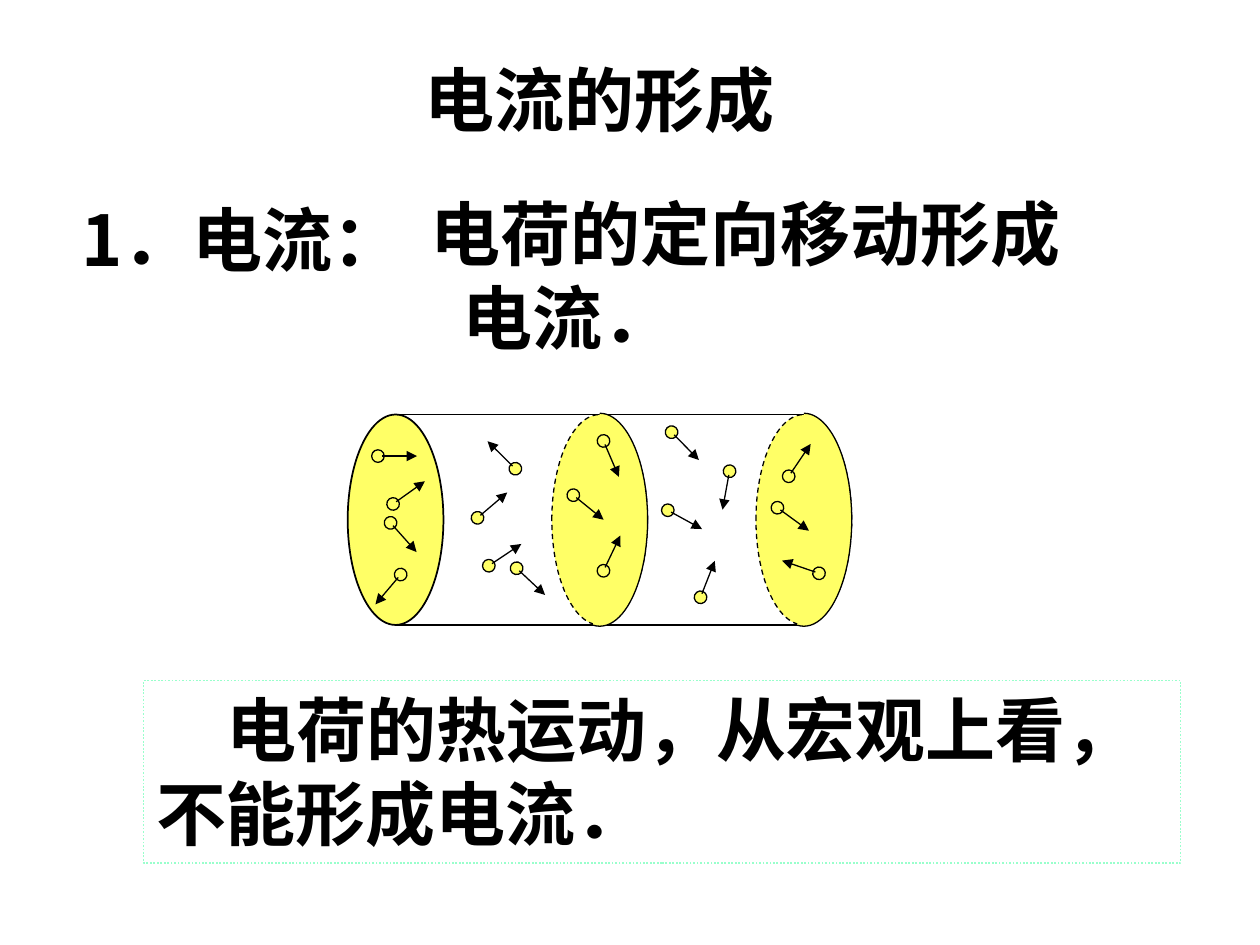
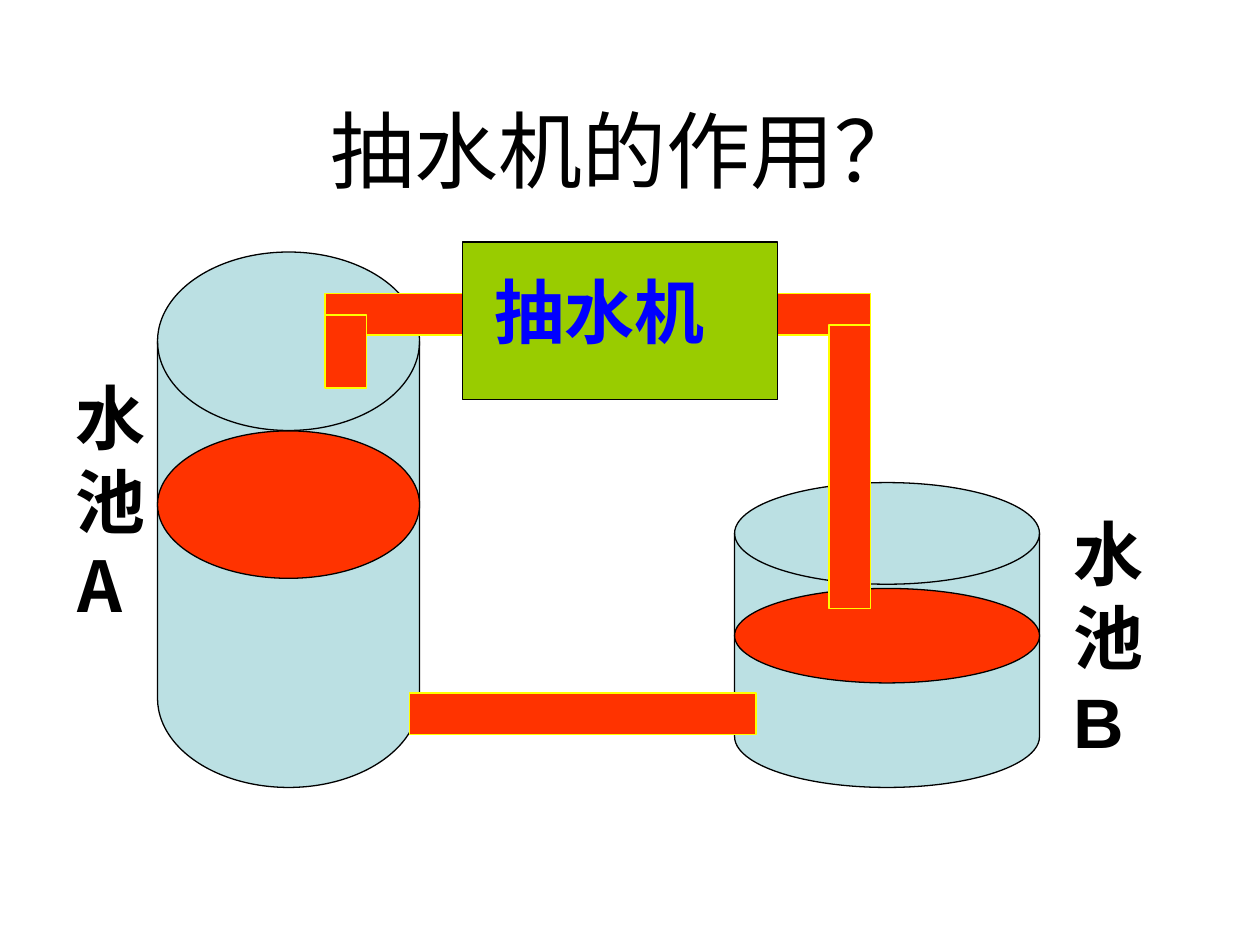
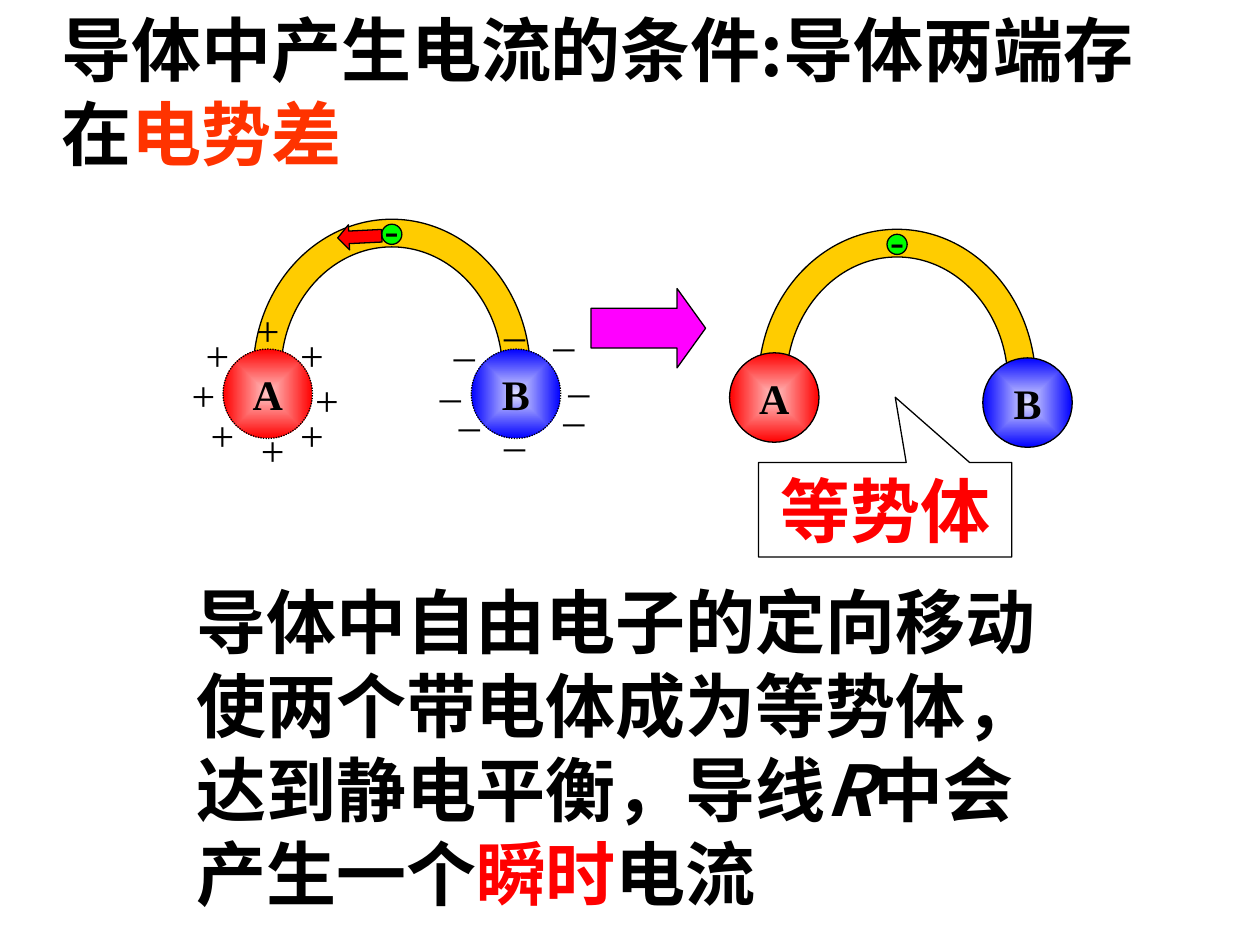
from math import cos, sin, radians
from lxml.etree import SubElement
from pptx import Presentation
from pptx.dml.color import RGBColor
from pptx.enum.dml import MSO_LINE
from pptx.enum.shapes import MSO_CONNECTOR, MSO_SHAPE
from pptx.enum.text import MSO_ANCHOR, PP_ALIGN
from pptx.oxml.ns import qn
from pptx.util import Pt

PX = 9144  # 100 px to the inch
HAN, SANS, SERIF = "Noto Sans CJK SC", "Arial", "Times New Roman"
HUES = {
    "ink": "000000", "lemon": "FFFF66", "mint": "99FFCC", "glass": "BBE0E3",
    "water": "FF3300", "edge": "FFFF00", "pump": "99CC00", "blue": "0000FF",
    "red": "FF0000", "pale red": "FFC6C6", "pale blue": "DFDFFF",
    "wire": "FFCC00", "green": "00FF00", "pink": "FF00FF",
}
MID, LEFT = PP_ALIGN.CENTER, PP_ALIGN.LEFT


def hue(name):
    return RGBColor.from_string(HUES[name])


def px(*sizes):
    return [round(size * PX) for size in sizes]


def edge(item, color="ink", width=0.75, dash=None):
    item.line.color.rgb = hue(color)
    item.line.width = Pt(width)
    if dash:
        item.line.dash_style = dash


def paint(item, fill, color="ink", width=0.75, dash=None):
    item.shadow.inherit = False
    if fill:
        item.fill.solid()
        item.fill.fore_color.rgb = hue(fill)
    else:
        item.fill.background()
    edge(item, color, width, dash)


def shape(slide, kind, box, fill, color="ink", width=0.75, dash=None, adj=()):
    item = slide.shapes.add_shape(kind, *px(*box))
    for i, value in enumerate(adj):
        item.adjustments[i] = value
    paint(item, fill, color, width, dash)
    return item


def write(item, runs, size=40, font=HAN, bold=True, align=LEFT,
          anchor=MSO_ANCHOR.TOP, wrap=True, indent=None):
    """Fill an item with one paragraph of (text, colour, italic) runs."""
    frame = item.text_frame
    frame.word_wrap = wrap
    frame.vertical_anchor = anchor
    para = frame.paragraphs[0]
    para.alignment = align
    if indent:
        left, first = px(*indent)
        props = para._p.get_or_add_pPr()
        props.set("marL", str(left))
        props.set("indent", str(first))
    for words, color, *slant in runs:
        run = para.add_run()
        run.text = words
        run.font.size = Pt(size)
        run.font.bold = bold
        run.font.italic = bool(slant)
        run.font.color.rgb = hue(color)
        run.font.name = font
        SubElement(run._r.rPr, qn("a:ea")).set("typeface", HAN)


def text(slide, box, runs, **style):
    item = slide.shapes.add_textbox(*px(*box))
    write(item, runs, **style)
    return item


def title(slide, box, words, **style):
    text(slide, box, [(words, "ink")], align=MID, anchor=MSO_ANCHOR.MIDDLE, **style)


def line(slide, start, end, head=False):
    item = slide.shapes.add_connector(MSO_CONNECTOR.STRAIGHT, *px(*start, *end))
    edge(item)
    props = item._element.spPr
    if head:
        SubElement(props.find(qn("a:ln")), qn("a:tailEnd")).set("type", "triangle")
    SubElement(props, qn("a:effectLst"))


# Slide 1

# left, top and heading of each charge, relative to the tube
CHARGES = [
    (31, 66, 324.5), (37, 122, 130.2), (252, 9, 45.6), (369, 121, 198.9),
    (336, 69, 36), (345, 44, 304.2), (198, 16, 66.8), (198, 119, 295.5),
    (174, 59, 39), (275, 140, 291.4), (19, 28, 0), (107, 115, 326.2),
    (98, 77, 319.5), (298, 40, 100.3), (128, 38, 224.7), (249, 71, 28.7),
    (129, 117, 43.1), (29, 81, 48.3),
]


def charge(slide, x, y, angle):
    ball = shape(slide, MSO_SHAPE.OVAL, (x, y, 10, 10), "lemon")
    ball.rotation = angle
    dx, dy = cos(radians(angle)), sin(radians(angle))
    start, end = [(x + 5 + far * dx, y + 5 + far * dy) for far in (3, 31)]
    line(slide, start, end, head=True)


def half(slide, x, y, wide, high):
    """Draw the solid right half of a disc."""
    dots = [(x + wide / 2 * (1 + cos(radians(a))), y + high / 2 * (1 + sin(radians(a))))
            for a in range(-90, 99, 4)]
    build = slide.shapes.build_freeform(*px(*dots[0]))
    build.add_line_segments([px(*dot) for dot in dots[1:]], close=False)
    paint(build.convert_to_shape(), "lemon")


def tube(slide, x, y, wide, high):
    disc, step = 76, 162
    shape(slide, MSO_SHAPE.OVAL, (x, y, disc, high), "lemon", width=1)
    lefts = [x + step, x + 2 * step]
    for left in lefts:
        shape(slide, MSO_SHAPE.OVAL, (left, y, disc, high), "lemon", dash=MSO_LINE.DASH)
    for level in (y, y + high):
        line(slide, (x + disc / 2, level), (x + wide - disc / 2, level))
    for left in lefts:
        half(slide, left, y - 1, disc, high + 2)
    for dx, dy, angle in CHARGES:
        charge(slide, x + dx, y + dy, angle)


def current(slide):
    title(slide, (98, 25, 756, 106), "电流的形成")
    text(slide, (55, 151, 287, 76), [("1．电流：", "ink")],
         anchor=MSO_ANCHOR.MIDDLE, indent=(38, -38))
    tube(slide, 276, 329, 400, 167)
    note = text(slide, (114, 540, 823, 145),
                [("电荷的热运动，从宏观上看，不能形成电流．", "ink")], indent=(0, 56))
    edge(note, "mint", 1, MSO_LINE.ROUND_DOT)
    text(slide, (319, 155, 582, 126), [("电荷的定向移动形成电流．", "ink")],
         anchor=MSO_ANCHOR.MIDDLE, indent=(38, -25))


# Slide 2

def tank(slide, x, y, wide, high, level, depth, label, name, font):
    """Draw a tank with its water surface; label is the offset of its name."""
    shape(slide, MSO_SHAPE.FLOWCHART_MAGNETIC_DISK, (x, y, wide, high), "glass")
    shape(slide, MSO_SHAPE.OVAL, (x, y + level, wide, depth), "water")
    text(slide, (x + label[0], y + label[1], 58, 210), [(name, "ink")],
         font=font, align=MID)


def pipe(slide, *box):
    shape(slide, MSO_SHAPE.RECTANGLE, box, "water", "edge")


def pump(slide, x, y):
    bore = 33
    pipe(slide, x, y + 41, 433, bore)
    pipe(slide, x, y + 58, bore, 58)
    pipe(slide, x + 400, y + 66, bore, 225)
    shape(slide, MSO_SHAPE.RECTANGLE, (x + 109, y, 250, 125), "pump")
    text(slide, (x + 125, y + 16, 200, 77), [("抽水机", "blue")], font=SANS)


def tanks(slide):
    tank(slide, 125, 200, 208, 425, 142, 117, (-75, 92), "水池A", HAN)
    tank(slide, 583, 383, 242, 242, 84, 75, (259, 17), "水池B", SANS)
    pump(slide, 258, 192)
    pipe(slide, 325, 550, 275, 33)
    title(slide, (71, 56, 850, 125), "抽水机的作用？", size=48, font=SANS, bold=False)


# Slide 3

PLUSES = [(16, -40), (-35, 11), (20, 55), (63, 15), (51, 43), (-20, 43), (-24, -20), (51, -20)]
MINUSES = [(16, -48), (-35, 0), (16, 39), (67, -4), (-20, 23), (63, 19), (55, -40), (-24, -32)]


def ball(slide, x, y, name, color, dash=None):
    item = shape(slide, MSO_SHAPE.OVAL, (x, y, 71, 71), color, dash=dash)
    item.fill.gradient()
    for stop, tone in zip(item.fill.gradient_stops, ("pale " + color, color)):
        stop.color.rgb = hue(tone)
    grad = item._element.spPr.find(qn("a:gradFill"))
    grad.remove(grad.find(qn("a:lin")))
    way = SubElement(grad, qn("a:path"))
    way.set("path", "shape")
    center = SubElement(way, qn("a:fillToRect"))
    for side in "ltrb":
        center.set(side, "50000")
    write(item, [(name, "ink")], size=24, font=SERIF, align=MID,
          anchor=MSO_ANCHOR.MIDDLE, wrap=False)


def signs(slide, x, y, spots, mark, wide):
    for dx, dy in spots:
        text(slide, (x + dx, y + dy, wide, 50), [(mark, "ink")], size=24,
             font=SERIF, bold=False, align=MID, wrap=False)


def wire(slide, x, y):
    """Draw the bent wire with an electron at its top."""
    shape(slide, MSO_SHAPE.BLOCK_ARC, (x, y, 220, 244), "wire",
          adj=(188.4 * 0.6, 351.6 * 0.6, 0.1))
    dot = shape(slide, MSO_SHAPE.OVAL, (x + 102, y + 4, 16, 16), "green")
    dot.text_frame.margin_bottom = px(13)[0]
    write(dot, [("-", "ink")], size=24, font=SERIF, bold=False, align=MID,
          anchor=MSO_ANCHOR.MIDDLE, wrap=False)


def before(slide, x, y):
    wire(slide, x, y)
    level, left, right = y + 103, x - 24, x + 173
    ball(slide, left, level, "A", "red", MSO_LINE.ROUND_DOT)
    signs(slide, left, level, PLUSES, "+", 39)
    ball(slide, right, level, "B", "blue", MSO_LINE.ROUND_DOT)
    signs(slide, right, level, MINUSES, "_", 37)
    flow = shape(slide, MSO_SHAPE.LEFT_ARROW, (x + 67, y + 4, 35, 20), "red", adj=(0.5, 0.45))
    flow.rotation = 357.2


def after(slide, x, y):
    wire(slide, x, y)
    ball(slide, x + 178, y + 102, "B", "blue")
    ball(slide, x - 23, y + 98, "A", "red")
    call = shape(slide, MSO_SHAPE.RECTANGULAR_CALLOUT, (x, y + 185, 201, 75), None,
                 adj=(0.04, -1.19))
    write(call, [("等势体", "red")], font=SERIF, align=MID, anchor=MSO_ANCHOR.MIDDLE)


def cause(slide):
    after(slide, 602, 182)
    before(slide, 201, 174)
    shape(slide, MSO_SHAPE.RIGHT_ARROW, (469, 229, 91, 63), "pink", adj=(0.5, 0.36))
    text(slide, (39, 0, 906, 143),
         [("导体中产生电流的条件:导体两端存在", "ink"), ("电势差", "water")])
    text(slide, (146, 454, 717, 277), [
        ("导体中自由电子的定向移动使两个带电体成为等势体，达到静电平衡，导线", "ink"),
        ("R", "ink", "italic"), ("中会产生一个", "ink"),
        ("瞬时", "red"), ("电流", "ink")])


def main():
    deck = Presentation()
    deck.slide_width, deck.slide_height = px(1000, 750)
    for draw in (current, tanks, cause):
        draw(deck.slides.add_slide(deck.slide_layouts[6]))
    deck.save("out.pptx")


if __name__ == "__main__":
    main()
